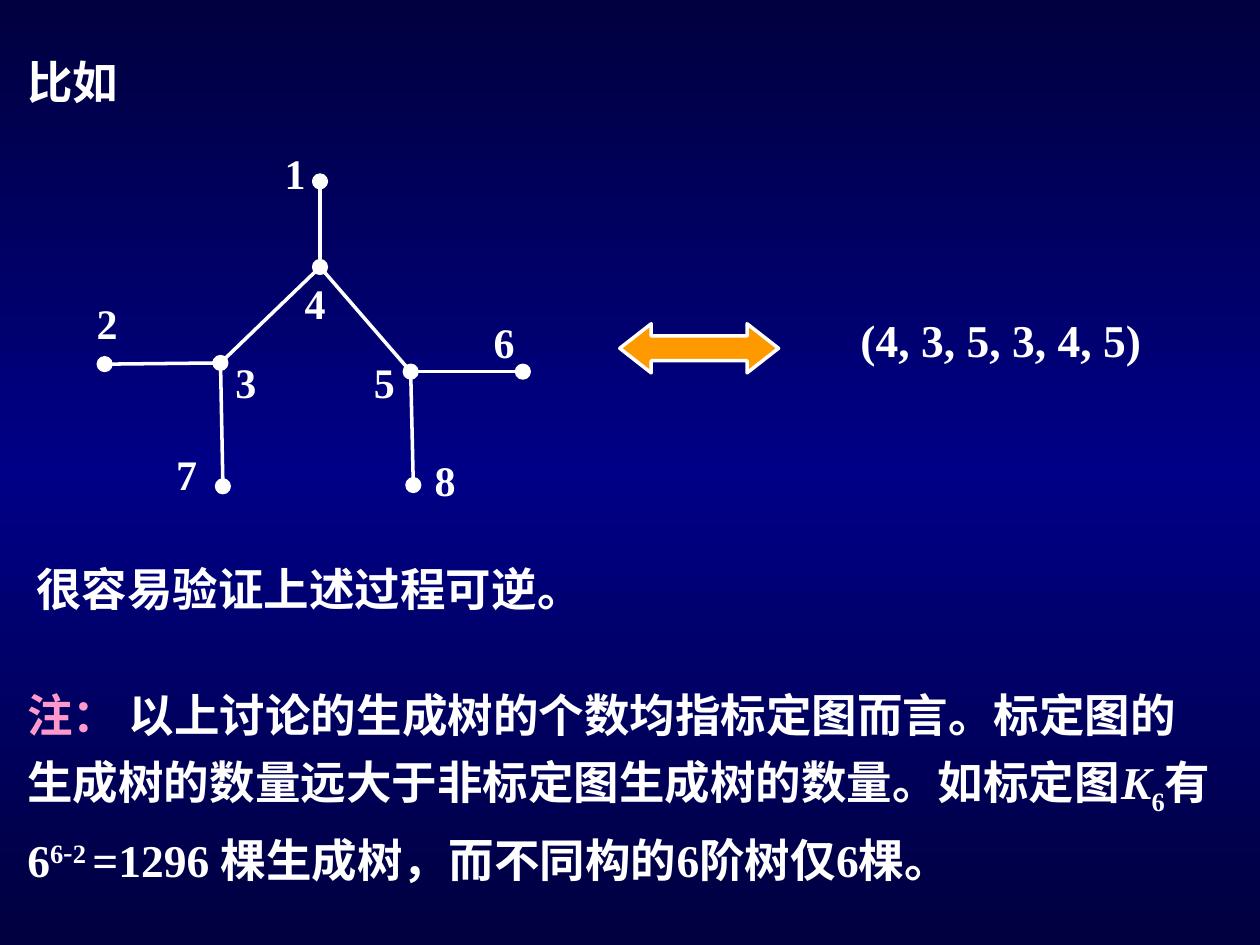
from copy import deepcopy
from dataclasses import dataclass

from lxml.etree import SubElement
from pptx import Presentation
from pptx.dml.color import RGBColor
from pptx.enum.shapes import MSO_CONNECTOR as Connector, MSO_SHAPE as Shape
from pptx.enum.text import MSO_AUTO_SIZE as AutoSize
from pptx.oxml.ns import qn
from pptx.util import Pt

COLORS = {
    "white": "FFFFFF",
    "pink": "FF99CC",
    "orange": "FF9900",
    "edge_blue": "00003E",
    "middle_blue": "000086",
}
FONT = "Times New Roman"
BODY_SIZE = 26
LABEL_SIZE = 24
LINE_WIDTH = 2
DOT_SIZE = 7.2


@dataclass(frozen=True)
class Node:
    """A tree vertex: its centre and the corner of its label box."""
    x: float
    y: float
    label_left: float
    label_top: float


@dataclass(frozen=True)
class Run:
    text: str
    color: str = "white"
    size: float = BODY_SIZE
    italic: bool = False
    baseline: int = 0


@dataclass(frozen=True)
class TextBox:
    left: float
    top: float
    width: float
    height: float
    runs: tuple[Run, ...]
    line_spacing: float = 1.0


NODES = {
    "1": Node(182.9, 103.7, 155.5, 80.6),
    "2": Node(59.8, 208.1, 48.2, 166.3),
    "3": Node(126, 207.4, 127.4, 200.2),
    "4": Node(182.9, 152.6, 167, 154.8),
    "5": Node(234.7, 212.4, 206.6, 200.2),
    "6": Node(298.8, 212.4, 275, 177.1),
    "7": Node(127.4, 277.9, 93.6, 252.7),
    "8": Node(236.2, 277.2, 241.2, 256.3),
}
EDGES = ("43", "45", "56", "23", "37", "58", "14")

TEXT_BOXES = (
    TextBox(8.6, 27.4, 121.7, 38.9, (Run("比如"),)),
    TextBox(484.6, 175, 181.4, 38.9, (Run("(4, 3, 5, 3, 4, 5)"),)),
    TextBox(13.7, 316.8, 510.5, 38.9, (Run("很容易验证上述过程可逆。"),)),
    TextBox(8.6, 383, 691.9, 127.4, (
        Run("注：", color="pink"),
        Run(" 以上讨论的生成树的个数均指标定图而言。标定图的"
            "生成树的数量远大于非标定图生成树的数量。如标定图"),
        Run("K", italic=True),
        Run("6", baseline=-25000),
        Run("有6"),
        Run("6", baseline=30000),
        Run("-", size=28, italic=True, baseline=30000),
        Run("2 ", baseline=30000),
        Run("=1296 棵生成树，而不同构的6阶树仅6棵。"),
    ), line_spacing=1.2),
)


def rgb(name: str) -> RGBColor:
    return RGBColor.from_string(COLORS[name])


def paint_background(page) -> None:
    fill = page.background.fill
    fill.gradient()
    fill.gradient_angle = 90
    stop_list = page.element.find(".//" + qn("a:gsLst"))
    stop_list.append(deepcopy(stop_list[0]))
    names = ("edge_blue", "middle_blue", "edge_blue")
    for index, (stop, name) in enumerate(zip(fill.gradient_stops, names)):
        stop.position = index / 2
        stop.color.rgb = rgb(name)


def add_text(page, spec_box: TextBox) -> None:
    box = page.shapes.add_textbox(Pt(spec_box.left), Pt(spec_box.top),
                                  Pt(spec_box.width), Pt(spec_box.height))
    frame = box.text_frame
    frame.word_wrap = True
    frame.auto_size = AutoSize.SHAPE_TO_FIT_TEXT
    para = frame.paragraphs[0]
    para.line_spacing = spec_box.line_spacing
    for run in spec_box.runs:
        span = para.add_run()
        span.text = run.text
        font = span.font
        font.name, font.size = FONT, Pt(run.size)
        font.bold, font.italic = True, run.italic
        font.color.rgb = rgb(run.color)
        if run.baseline:
            font._element.set("baseline", str(run.baseline))


def add_edge(page, start: Node, end: Node) -> None:
    edge = page.shapes.add_connector(Connector.STRAIGHT, Pt(start.x), Pt(start.y),
                                     Pt(end.x), Pt(end.y))
    edge.line.color.rgb = rgb("white")
    edge.line.width = Pt(LINE_WIDTH)
    SubElement(edge.element.spPr, qn("a:effectLst"))


def add_outlined(page, kind: Shape, left: float, top: float,
                 width: float, height: float, color: str):
    shape = page.shapes.add_shape(kind, Pt(left), Pt(top), Pt(width), Pt(height))
    shape.shadow.inherit = False
    shape.fill.solid()
    shape.fill.fore_color.rgb = rgb(color)
    shape.line.color.rgb = rgb("white")
    shape.line.width = Pt(LINE_WIDTH)
    return shape


def add_tree(page) -> None:
    for start, end in EDGES:
        add_edge(page, NODES[start], NODES[end])
    for node in NODES.values():
        add_outlined(page, Shape.OVAL, node.x - DOT_SIZE / 2, node.y - DOT_SIZE / 2,
                     DOT_SIZE, DOT_SIZE, "white")
    for label, node in NODES.items():
        add_text(page, TextBox(node.label_left, node.label_top, 28.1, 36,
                               (Run(label, size=LABEL_SIZE),)))


def main() -> None:
    deck = Presentation()
    deck.slide_width, deck.slide_height = Pt(720), Pt(540)
    page = deck.slides.add_slide(deck.slide_layouts[6])
    paint_background(page)
    add_tree(page)
    arrow = add_outlined(page, Shape.LEFT_RIGHT_ARROW, 354.2, 185, 90.7, 28.1, "orange")
    arrow.adjustments[0] = 0.5
    arrow.adjustments[1] = 0.64
    for text_box in TEXT_BOXES:
        add_text(page, text_box)
    deck.save("out.pptx")


if __name__ == "__main__":
    main()
